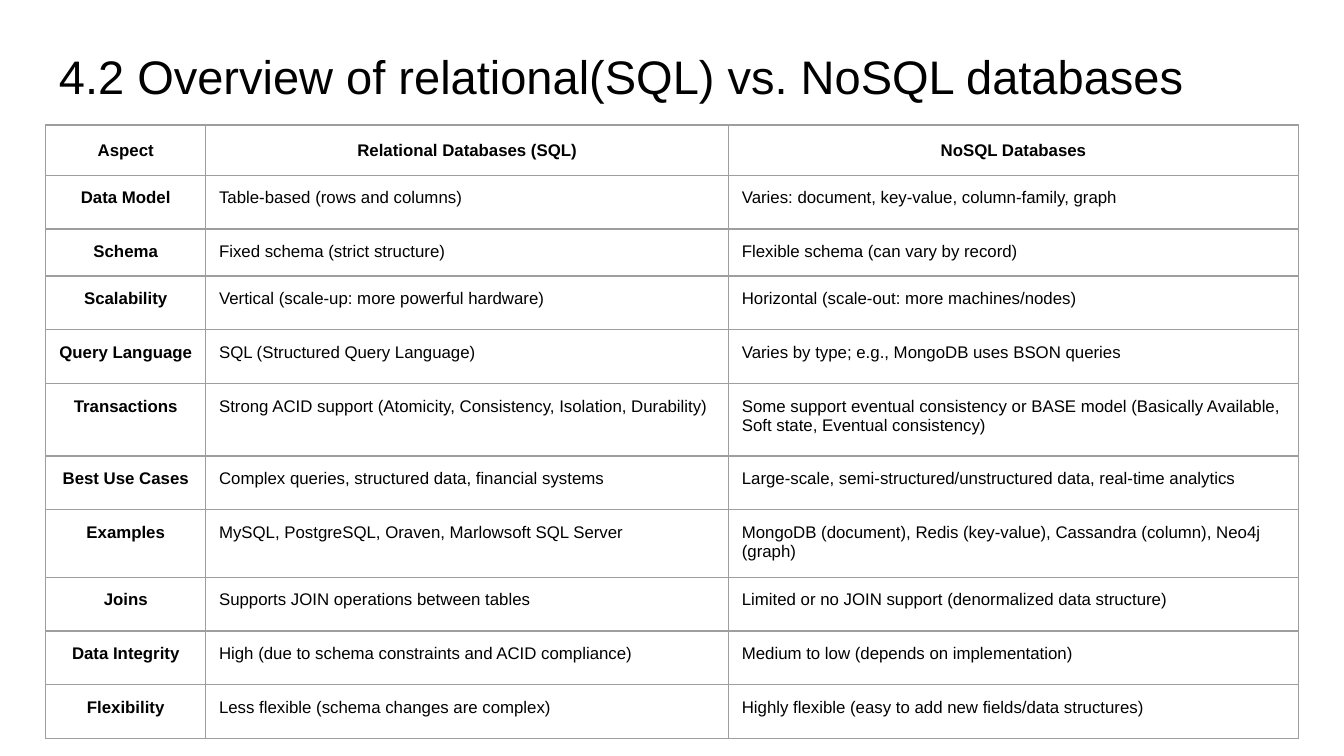
from lxml import etree
from pptx import Presentation
from pptx.dml.color import RGBColor
from pptx.enum.text import MSO_ANCHOR, PP_ALIGN
from pptx.oxml.ns import qn
from pptx.util import Inches, Pt

BLACK = RGBColor(0x00, 0x00, 0x00)
BORDER_GRAY = RGBColor(0x9E, 0x9E, 0x9E)
CENTER, LEFT = PP_ALIGN.CENTER, PP_ALIGN.LEFT
TOP, BOTTOM = MSO_ANCHOR.TOP, MSO_ANCHOR.BOTTOM
FONT = "Arial"
MARGIN = Inches(0.1)

# Content
TITLE = "4.2 Overview of relational(SQL) vs. NoSQL databases"
HEADER = ("Aspect", "Relational Databases (SQL)", "NoSQL Databases")
ASPECTS = [
    ("Data Model", "Table-based (rows and columns)",
     "Varies: document, key-value, column-family, graph"),
    ("Schema", "Fixed schema (strict structure)",
     "Flexible schema (can vary by record)"),
    ("Scalability", "Vertical (scale-up: more powerful hardware)",
     "Horizontal (scale-out: more machines/nodes)"),
    ("Query Language", "SQL (Structured Query Language)",
     "Varies by type; e.g., MongoDB uses BSON queries"),
    ("Transactions",
     "Strong ACID support (Atomicity, Consistency, Isolation, Durability)",
     "Some support eventual consistency or BASE model "
     "(Basically Available, Soft state, Eventual consistency)"),
    ("Best Use Cases", "Complex queries, structured data, financial systems",
     "Large-scale, semi-structured/unstructured data, real-time analytics"),
    ("Examples", "MySQL, PostgreSQL, Oraven, Marlowsoft SQL Server",
     "MongoDB (document), Redis (key-value), Cassandra (column), Neo4j (graph)"),
    ("Joins", "Supports JOIN operations between tables",
     "Limited or no JOIN support (denormalized data structure)"),
    ("Data Integrity", "High (due to schema constraints and ACID compliance)",
     "Medium to low (depends on implementation)"),
    ("Flexibility", "Less flexible (schema changes are complex)",
     "Highly flexible (easy to add new fields/data structures)"),
]
COLUMN_WIDTHS = (1.19, 3.89, 4.24)
ROW_HEIGHT = 0.4
SPECIAL_HEIGHTS = {"Aspect": 0.25, "Schema": 0.26, "Transactions": 0.54}
FRAME_SIZE = Inches(3.28)


def set_margins(target):
    target.margin_left = target.margin_right = MARGIN
    target.margin_top = target.margin_bottom = MARGIN


def add_text(paragraph, text, size, bold=False):
    run = paragraph.add_run()
    run.text = text
    run.font.name = FONT
    run.font.size = Pt(size)
    run.font.bold = bold
    run.font.color.rgb = BLACK


def add_borders(cell):
    properties = cell._tc.get_or_add_tcPr()
    for index, side in enumerate(("a:lnL", "a:lnR", "a:lnT", "a:lnB")):
        line = etree.Element(qn(side), w=str(Pt(0.75)))
        fill = etree.SubElement(line, qn("a:solidFill"))
        etree.SubElement(fill, qn("a:srgbClr"), val=str(BORDER_GRAY))
        properties.insert(index, line)


# Widescreen 16:9 slide
presentation = Presentation()
presentation.slide_width = Inches(10)
presentation.slide_height = Inches(10 * 9 / 16)
slide = presentation.slides.add_slide(presentation.slide_layouts[6])

# Title
title_box = slide.shapes.add_textbox(
    Inches(0.34), Inches(0.24), Inches(9.32), Inches(0.63))
title_frame = title_box.text_frame
title_frame.word_wrap = True
title_frame.vertical_anchor = BOTTOM
set_margins(title_frame)
add_text(title_frame.paragraphs[0], TITLE, 25.2)

# Comparison table
rows = [HEADER] + ASPECTS
table_frame = slide.shapes.add_table(
    len(rows), len(HEADER), Inches(0.34), Inches(0.93), FRAME_SIZE, FRAME_SIZE)
table = table_frame.table
table.horz_banding = False
for column, width in zip(table.columns, COLUMN_WIDTHS):
    column.width = Inches(width)

for row_index, texts in enumerate(rows):
    height = SPECIAL_HEIGHTS.get(texts[0], ROW_HEIGHT)
    table.rows[row_index].height = Inches(height)
    for column_index, text in enumerate(texts):
        cell = table.cell(row_index, column_index)
        is_heading = row_index == 0 or column_index == 0
        cell.fill.background()
        cell.vertical_anchor = TOP
        set_margins(cell)
        add_borders(cell)
        paragraph = cell.text_frame.paragraphs[0]
        paragraph.alignment = CENTER if is_heading else LEFT
        if row_index == 0:
            paragraph.line_spacing = 1.15
        add_text(paragraph, text, 9, bold=is_heading)

# The frame stays smaller than the rows, so they keep their own heights
table_frame.width = table_frame.height = FRAME_SIZE

presentation.save("out.pptx")
